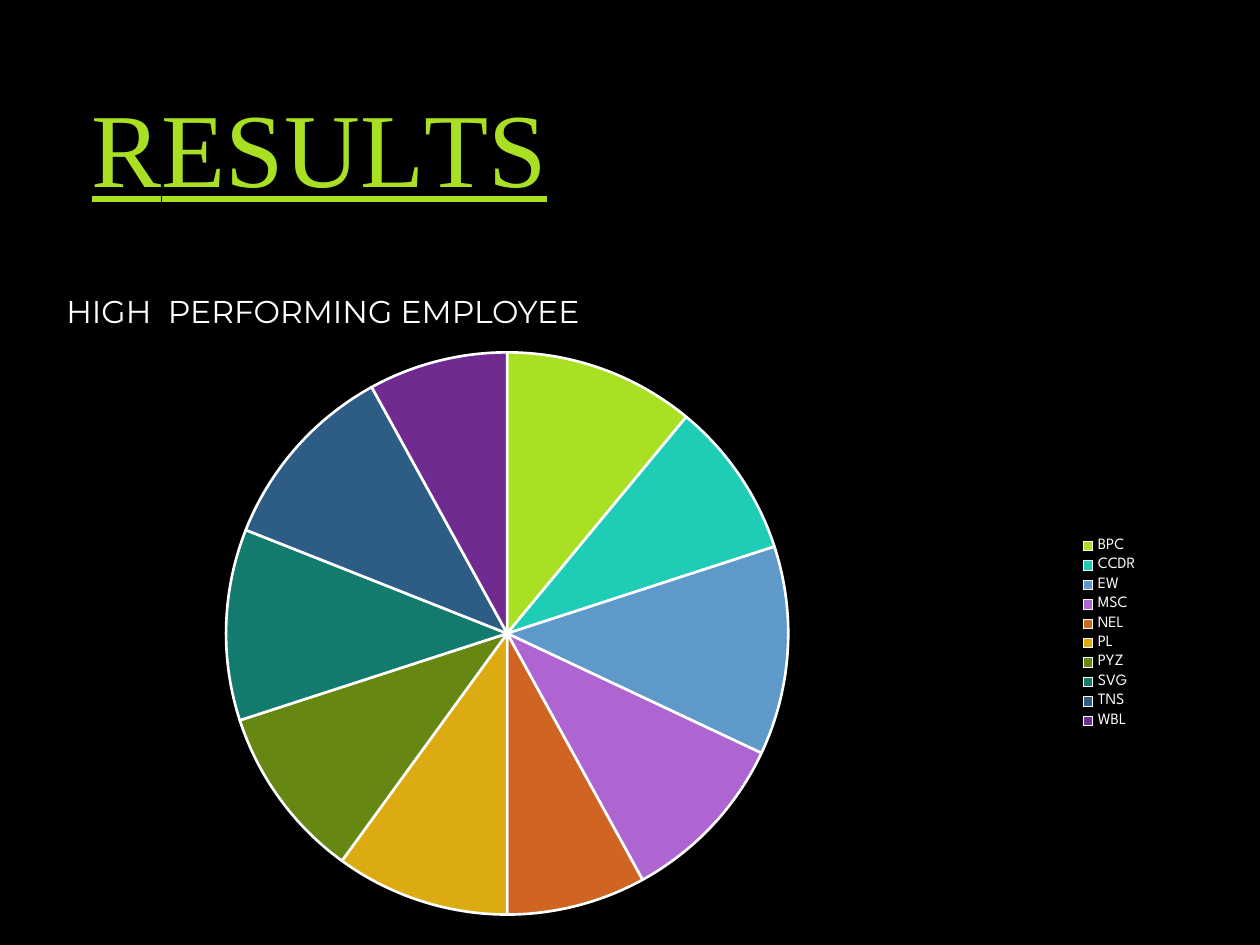
"""Build the results slide with its pie chart of high performers."""
import pptx
import pptx.chart.data
import pptx.dml.color
import pptx.enum.chart
import pptx.enum.text
import pptx.util

PX = 914400 // 126
WHITE, LIME = "FFFFFF", "A9E023"


def box(*vals):
    return [pptx.util.Emu(val * PX) for val in vals]


def paint(form, code):
    form.rgb = pptx.dml.color.RGBColor.from_string(code)


deck = pptx.Presentation()
deck.slide_width, deck.slide_height = box(1260, 945)
slide = deck.slides.add_slide(deck.slide_layouts[5])
slide.background.fill.solid()
paint(slide.background.fill.fore_color, "000000")

title = slide.shapes.title
title.left, title.top, title.width, title.height = box(79, 35, 1071, 221)
title.text_frame.vertical_anchor = pptx.enum.text.MSO_ANCHOR.MIDDLE
para = title.text_frame.paragraphs[0]
para.alignment = pptx.enum.text.PP_ALIGN.LEFT
for text, gap in [("R", 0), ("E", -40), ("S", 10), ("U", -30), ("L", -400), ("TS", 0)]:
    run = para.add_run()
    run.text = text
    run.font.name = "Times New Roman"
    run.font.size = pptx.util.Pt(60)
    run.font.underline = True
    paint(run.font.color, LIME)
    run.font._element.set("spc", str(gap))

label = slide.shapes.add_textbox(*box(54, 282, 1096, 105))
frame = label.text_frame
frame.word_wrap = True
frame.margin_top = box(10)[0]
para = frame.paragraphs[0]
para.text = "HIGH  PERFORMING EMPLOYEE"
para.font.name = "Montserrat"
para.font.size = pptx.util.Pt(18)
paint(para.font.color, WHITE)

slices = [
    ("BPC", 11, LIME),
    ("CCDR", 9, "1FCDB6"),
    ("EW", 12, "5F99C9"),
    ("MSC", 10, "AE65D1"),
    ("NEL", 8, "D06423"),
    ("PL", 10, "DCAB11"),
    ("PYZ", 10, "668813"),
    ("SVG", 11, "137B6D"),
    ("TNS", 11, "2D5D85"),
    ("WBL", 8, "6F2B8F"),
]
names, vals, codes = zip(*slices)
data = pptx.chart.data.CategoryChartData()
data.categories = names
data.add_series("Series 1", vals)
kind = pptx.enum.chart.XL_CHART_TYPE.PIE
chart = slide.shapes.add_chart(kind, *box(-64, 335, 1215, 597), data).chart
chart.has_title = False
chart.has_legend = True
chart.legend.position = pptx.enum.chart.XL_LEGEND_POSITION.RIGHT
chart.legend.include_in_layout = False
for font, size in [(chart.font, 10), (chart.legend.font, 9)]:
    font.name = "League Spartan"
    font.size = pptx.util.Pt(size)
    paint(font.color, WHITE)

plot = chart.plots[0]
plot.vary_by_categories = True
for spot, code in enumerate(codes):
    form = plot.series[0].points[spot].format
    form.fill.solid()
    paint(form.fill.fore_color, code)
    form.line.width = pptx.util.Pt(1.5)
    paint(form.line.color, WHITE)

deck.save("out.pptx")
